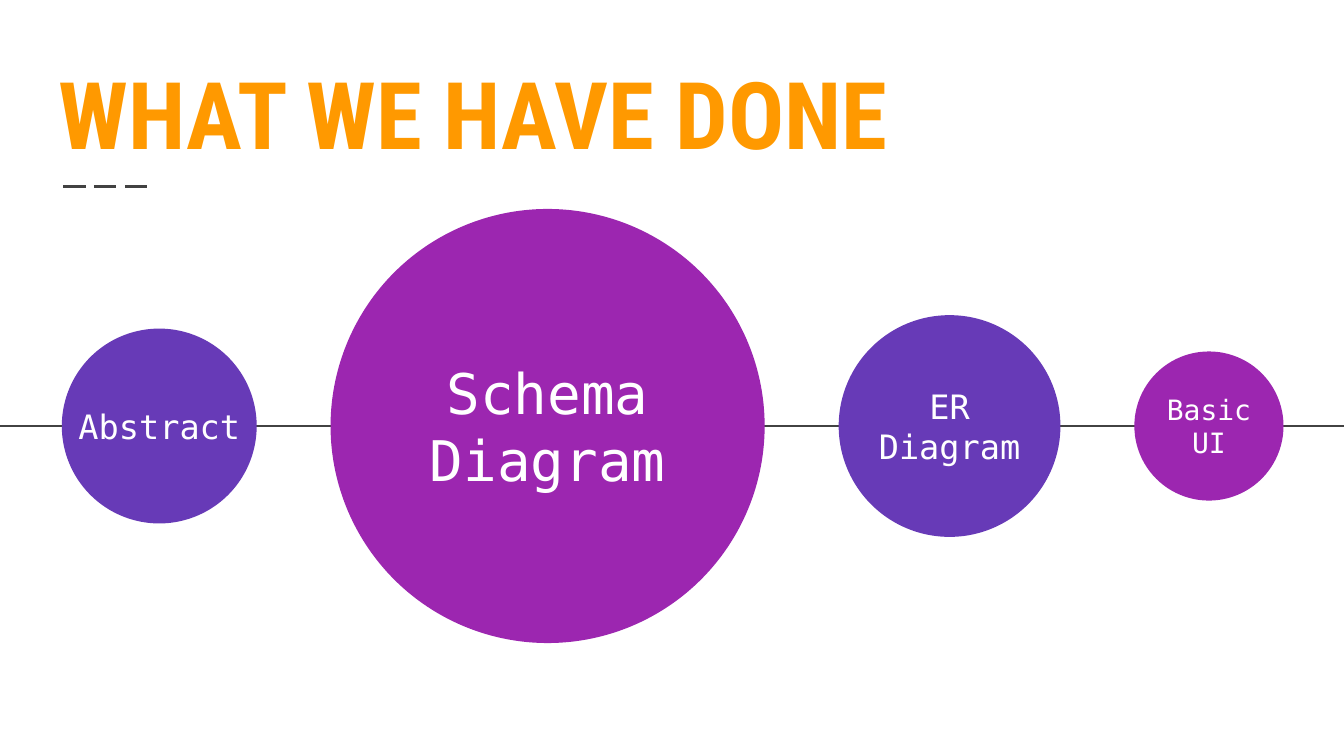
from pptx import Presentation
from pptx.dml.color import RGBColor
from pptx.enum.dml import MSO_LINE
from pptx.enum.shapes import MSO_CONNECTOR, MSO_SHAPE
from pptx.enum.text import MSO_ANCHOR, PP_ALIGN
from pptx.oxml.ns import qn
from pptx.util import Inches, Pt
from lxml.etree import SubElement


def rgb(value):
    """Return the colour of a hex string."""
    return RGBColor.from_string(value)


def add_text(slide, box, text, font, size, color, anchor, align, bold=False):
    """Add a wrapping text box with one run."""
    tf = slide.shapes.add_textbox(*map(Inches, box)).text_frame
    tf.word_wrap = True
    tf.vertical_anchor = anchor
    tf.margin_left = tf.margin_right = Inches(0.1)
    tf.margin_top = tf.margin_bottom = Inches(0.1)
    p = tf.paragraphs[0]
    p.alignment = align
    r = p.add_run()
    r.text = text
    r.font.name = font
    r.font.size = Pt(size)
    r.font.bold = bold
    r.font.color.rgb = rgb(color)


PURPLE, MAGENTA = "673AB7", "9C26B0"
SLIDE_W = 10
AXIS_Y = 3.17
GAP = 0.55
LABEL_H = 0.66

prs = Presentation()
prs.slide_width, prs.slide_height = Inches(SLIDE_W), Inches(SLIDE_W * 9 / 16)
s = prs.slides.add_slide(prs.slide_layouts[6])

# Title underline and timeline axis
for x1, x2, y, dash in [(0.47, 1.14, 1.39, MSO_LINE.LONG_DASH),
                        (-0.01, SLIDE_W, AXIS_Y, None)]:
    line = s.shapes.add_connector(MSO_CONNECTOR.STRAIGHT, Inches(x1), Inches(y),
                                  Inches(x2), Inches(y))
    line.line.color.rgb = rgb("424242")
    line.line.width = Pt(1.5)
    if dash:
        line.line.dash_style = dash
    SubElement(line._element.spPr, qn("a:effectLst"))

add_text(s, (0.34, 0.1, 9.32, 1.25), "WHAT WE HAVE DONE", "Roboto Condensed",
         50, "FF9900", MSO_ANCHOR.BOTTOM, PP_ALIGN.LEFT, bold=True)

# Milestones: circles centred on the axis, equal gaps between them
milestones = [
    ("Abstract", 1.45, PURPLE, 18),
    ("Schema Diagram", 3.23, MAGENTA, 30),
    ("ER Diagram", 1.65, PURPLE, 18),
    ("Basic UI", 1.11, MAGENTA, 15),
]
left = 0.46
for label, size, color, font_size in milestones:
    sp = s.shapes.add_shape(MSO_SHAPE.OVAL, Inches(left), Inches(AXIS_Y - size / 2),
                            Inches(size), Inches(size))
    sp.shadow.inherit = False
    sp.fill.solid()
    sp.fill.fore_color.rgb = rgb(color)
    sp.line.fill.background()
    add_text(s, (left, AXIS_Y - LABEL_H / 2, size, LABEL_H), label,
             "DejaVu Sans Mono", font_size, "FFFFFF", MSO_ANCHOR.MIDDLE,
             PP_ALIGN.CENTER)
    left += size + GAP

prs.save("out.pptx")
